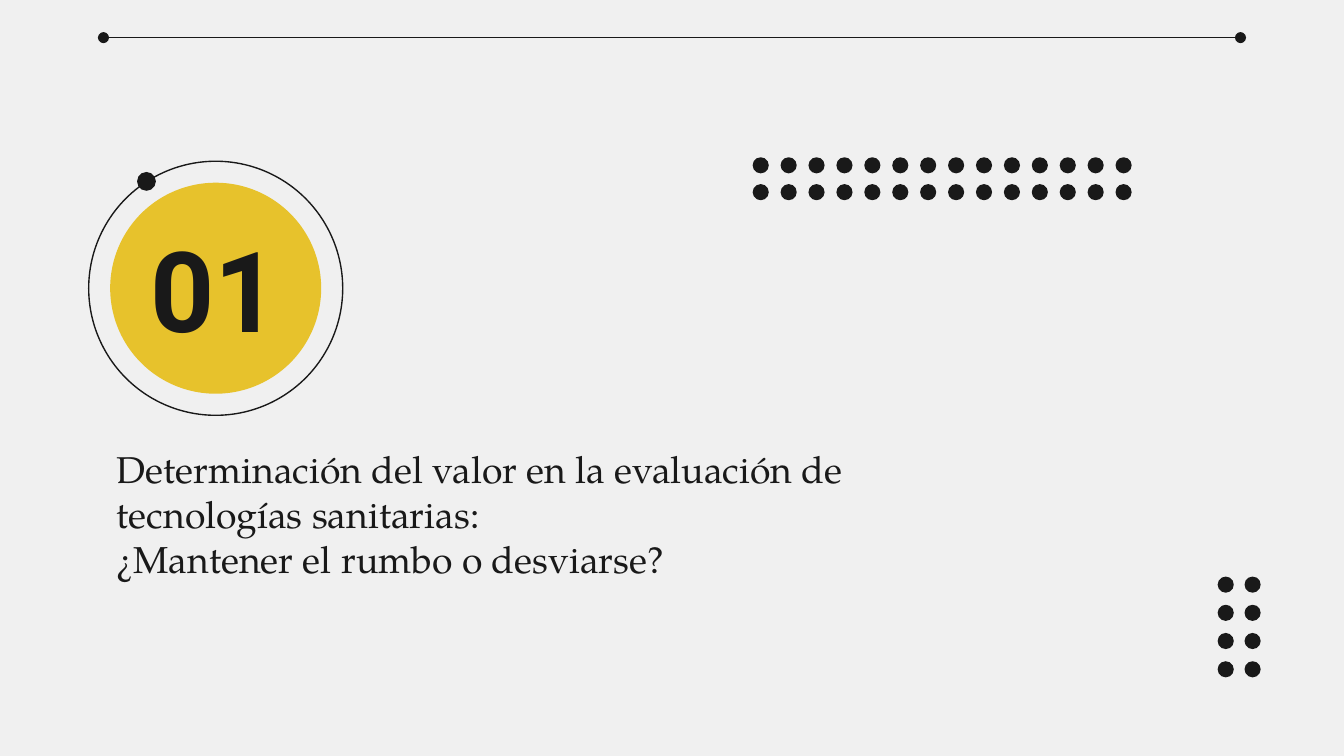
from itertools import product

from lxml import etree
from pptx import Presentation
from pptx.dml.color import RGBColor
from pptx.enum.shapes import MSO_CONNECTOR, MSO_SHAPE
from pptx.enum.text import MSO_ANCHOR, PP_ALIGN
from pptx.oxml.ns import qn
from pptx.util import Inches, Pt

OVAL = MSO_SHAPE.OVAL
STRAIGHT = MSO_CONNECTOR.STRAIGHT
MIDDLE = MSO_ANCHOR.MIDDLE
LEFT, CENTER = PP_ALIGN.LEFT, PP_ALIGN.CENTER

SLIDE_WIDTH = 10
SLIDE_HEIGHT = SLIDE_WIDTH * 9 / 16

TITLE_LINES = [
    "Determinación del valor en la evaluación de tecnologías sanitarias: ",
    "¿Mantener el rumbo o desviarse?",
]
NUMBER_LINES = ["01"]

THEME = {
    "background": RGBColor.from_string("F0F0F0"),
    "ink": RGBColor.from_string("191919"),
    "accent": RGBColor.from_string("E7C22C"),
    "line": Pt(0.75),
    "title": {"font": "TeX Gyre Pagella", "size": Pt(20), "bold": False},
    "number": {"font": "Roboto", "size": Pt(60), "bold": True},
}

DOT_SIZE = 0.12
DOT_GRIDS = [
    {"first": (5.6, 1.17), "last": (8.3, 1.37), "columns": 14, "rows": 2},
    {"first": (9.06, 4.29), "last": (9.26, 4.92), "columns": 2, "rows": 4},
]


def add_circle(shapes, left, top, size, fill=None, line=None):
    circle = shapes.add_shape(OVAL, Inches(left), Inches(top), Inches(size), Inches(size))
    circle.shadow.inherit = False
    if fill is None:
        circle.fill.background()
    else:
        circle.fill.solid()
        circle.fill.fore_color.rgb = fill
    if line is None:
        circle.line.fill.background()
    else:
        circle.line.color.rgb = line
        circle.line.width = THEME["line"]


def add_dot_grid(slide, first, last, columns, rows):
    group = slide.shapes.add_group_shape()
    column_gap = (last[0] - first[0]) / (columns - 1)
    row_gap = (last[1] - first[1]) / (rows - 1)
    for row, column in product(range(rows), range(columns)):
        left = first[0] + column * column_gap
        top = first[1] + row * row_gap
        add_circle(group.shapes, left, top, DOT_SIZE, fill=THEME["ink"])


def add_text(slide, lines, left, top, width, height, style, align):
    box = slide.shapes.add_textbox(Inches(left), Inches(top), Inches(width), Inches(height))
    frame = box.text_frame
    frame.word_wrap = True
    frame.vertical_anchor = MIDDLE
    frame.margin_left = frame.margin_right = Inches(0.1)
    frame.margin_top = frame.margin_bottom = Inches(0.1)
    para = frame.paragraphs[0]
    para.alignment = align
    for index, line in enumerate(lines):
        if index:
            para.add_line_break()
        span = para.add_run()
        span.text = line
        span.font.name = style["font"]
        span.font.size = style["size"]
        span.font.bold = style["bold"]
        span.font.color.rgb = THEME["ink"]


def add_top_rule(slide, left, right, height):
    rule = slide.shapes.add_connector(
        STRAIGHT, Inches(left), Inches(height), Inches(right), Inches(height)
    )
    rule.line.color.rgb = THEME["ink"]
    rule.line.width = THEME["line"]
    outline = rule.line._get_or_add_ln()
    for end in ("a:headEnd", "a:tailEnd"):
        etree.SubElement(outline, qn(end), type="oval")
    etree.SubElement(rule._element.spPr, qn("a:effectLst"))


def main():
    deck = Presentation()
    deck.slide_width = Inches(SLIDE_WIDTH)
    deck.slide_height = Inches(SLIDE_HEIGHT)
    slide = deck.slides.add_slide(deck.slide_layouts[6])
    slide.background.fill.solid()
    slide.background.fill.fore_color.rgb = THEME["background"]

    orbit = slide.shapes.add_group_shape()
    add_circle(orbit.shapes, 0.66, 1.2, 1.89, line=THEME["ink"])
    add_circle(orbit.shapes, 1.02, 1.28, 0.14, fill=THEME["ink"])
    add_circle(slide.shapes, 0.82, 1.36, 1.57, fill=THEME["accent"])

    add_text(slide, TITLE_LINES, 0.77, 3.36, 6.74, 0.92, THEME["title"], LEFT)
    add_text(slide, NUMBER_LINES, 0.8, 1.68, 1.6, 0.92, THEME["number"], CENTER)
    add_top_rule(slide, 0.77, 9.23, 0.28)
    for grid in DOT_GRIDS:
        add_dot_grid(slide, **grid)

    deck.save("out.pptx")


if __name__ == "__main__":
    main()
